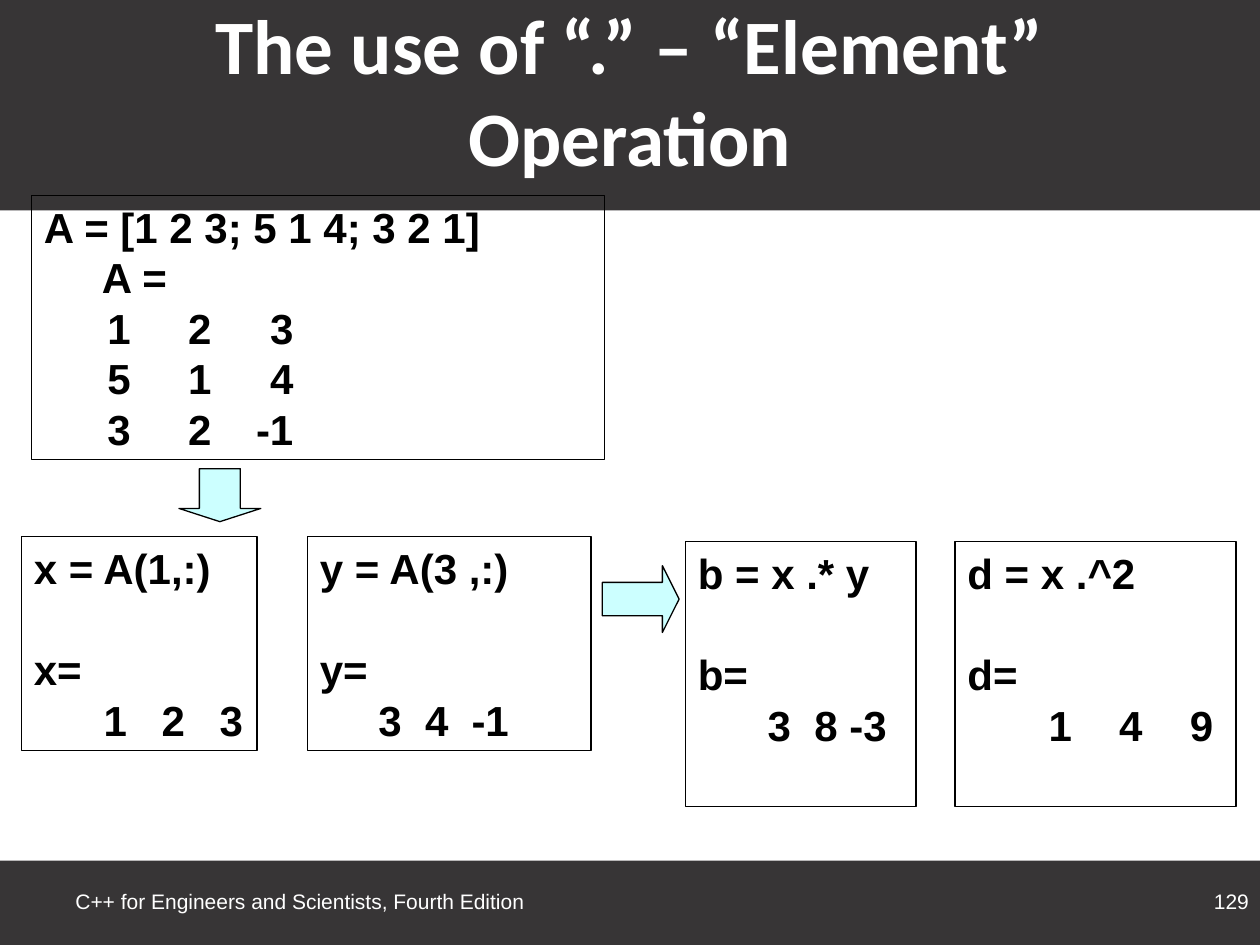
"""Build the slide on element-by-element operations with the dot operator."""
from lxml import etree
from pptx import Presentation
from pptx import util as u
from pptx.dml.color import RGBColor
from pptx.enum import shapes, text
from pptx.oxml.ns import qn

DARK, WHITE, BLACK, CYAN = "373536", "FFFFFF", "000000", "CCFFFF"
LINE_PITCH = 28.8

TITLE = "The use of “.” – “Element” Operation"
BANDS = [(0, 0, 10, 1.67), (0, 6.83, 10, 0.67)]
FOOTERS = [
    ("129", (7.17, 6.95, 2.84, 0.4), text.PP_ALIGN.RIGHT),
    ("C++ for Engineers and Scientists, Fourth Edition", (0.5, 6.95, 7.41, 0.4), text.PP_ALIGN.LEFT),
]
MATRIX = {
    "place": (0.25, 1.55, 4.55, 2.1),
    "command": "A = [1 2 3; 5 1 4; 3 2 1]",
    "answer": "A =",
    "indent": 0.46,
    "gap": 0,
    "rows": [("1", "2", "3"), ("5", "1", "4"), ("3", "2", "-1")],
    "tabs": (0.69, 1.33, 1.98),
}
VECTORS = [
    ("y = A(3 ,:)", "y=", ("3", "4", "-1"), (0.65, 1.02, 1.5), (2.44, 4.26, 2.25, 1.7)),
    ("b = x .* y", "b=", ("3", "8", "-3"), (0.74, 1.11, 1.5), (5.44, 4.3, 1.83, 2.1)),
    ("d = x .^2", "d=", ("1", "4", "9"), (0.83, 1.39, 1.95), (7.58, 4.3, 2.23, 2.1)),
    ("x = A(1,:)", "x=", ("1", "2", "3"), (0.74, 1.2, 1.66), (0.17, 4.26, 1.87, 1.7)),
]
ARROWS = [
    (shapes.MSO_SHAPE.RIGHT_ARROW, (4.78, 4.49, 0.61, 0.53)),
    (shapes.MSO_SHAPE.DOWN_ARROW, (1.42, 3.72, 0.65, 0.42)),
]


def inches(place):
    return [u.Inches(value) for value in place]


def set_font(para, name, size, color, bold=False):
    font = para.font
    font.name, font.size, font.bold = name, u.Pt(size), bold
    font.color.rgb = RGBColor.from_string(color)


def add_shape(page, kind, place, fill=None, line=None):
    shape = page.shapes.add_shape(kind, *inches(place))
    shape.shadow.inherit = False
    if fill:
        shape.fill.solid()
        shape.fill.fore_color.rgb = RGBColor.from_string(fill)
    else:
        shape.fill.background()
    if line:
        shape.line.color.rgb = RGBColor.from_string(line)
        shape.line.width = u.Pt(0.75)
    else:
        shape.line.fill.background()
    return shape


def set_tabs(para, stops):
    tab_list = etree.SubElement(para._p.get_or_add_pPr(), qn("a:tabLst"))
    for stop in stops:
        etree.SubElement(tab_list, qn("a:tab"), pos=str(u.Inches(stop)), algn="r")


def add_code_box(page, place, command, answer, rows, tabs, indent=0, gap=LINE_PITCH):
    box = add_shape(page, shapes.MSO_SHAPE.RECTANGLE, place, line=BLACK)
    frame = box.text_frame
    frame.word_wrap = True
    frame.vertical_anchor = text.MSO_ANCHOR.TOP
    lines = [command, answer] + ["".join("\t" + cell for cell in row) for row in rows]
    for index, line in enumerate(lines):
        para = frame.add_paragraph() if index else frame.paragraphs[0]
        para.text = line
        para.alignment = text.PP_ALIGN.LEFT
        para.line_spacing = u.Pt(LINE_PITCH)
        if index == 1:
            para.space_before = u.Pt(gap)
            para._p.get_or_add_pPr().set("marL", str(u.Inches(indent)))
        if index > 1:
            set_tabs(para, tabs)
        set_font(para, "Arial", 24, BLACK, bold=True)


def add_title(page):
    title = page.shapes.title
    title.left, title.top, title.width, title.height = inches((0.5, 0.17, 9, 1.08))
    frame = title.text_frame
    frame.text = TITLE
    frame.word_wrap = True
    frame.auto_size = text.MSO_AUTO_SIZE.NONE
    frame.vertical_anchor = text.MSO_ANCHOR.MIDDLE
    para = frame.paragraphs[0]
    para.alignment = text.PP_ALIGN.CENTER
    set_font(para, "Calibri", 44, WHITE, bold=True)
    page.shapes._spTree.append(title._element)


def add_footer(page, words, place, align):
    frame = page.shapes.add_textbox(*inches(place)).text_frame
    frame.word_wrap = True
    frame.vertical_anchor = text.MSO_ANCHOR.MIDDLE
    para = frame.paragraphs[0]
    para.text, para.alignment = words, align
    set_font(para, "Arial", 12, WHITE)


def main():
    deck = Presentation()
    deck.slide_width, deck.slide_height = u.Inches(10), u.Inches(7.5)
    page = deck.slides.add_slide(deck.slide_layouts[5])
    for place in BANDS:
        add_shape(page, shapes.MSO_SHAPE.RECTANGLE, place, fill=DARK)
    add_title(page)
    for footer in FOOTERS:
        add_footer(page, *footer)
    add_code_box(page, **MATRIX)
    for command, answer, row, tabs, place in VECTORS:
        add_code_box(page, place, command, answer, [row], tabs)
    for kind, place in ARROWS:
        arrow = add_shape(page, kind, place, fill=CYAN, line=BLACK)
        arrow.adjustments[0], arrow.adjustments[1] = 0.5, 0.25
    deck.save("out.pptx")


if __name__ == "__main__":
    main()
